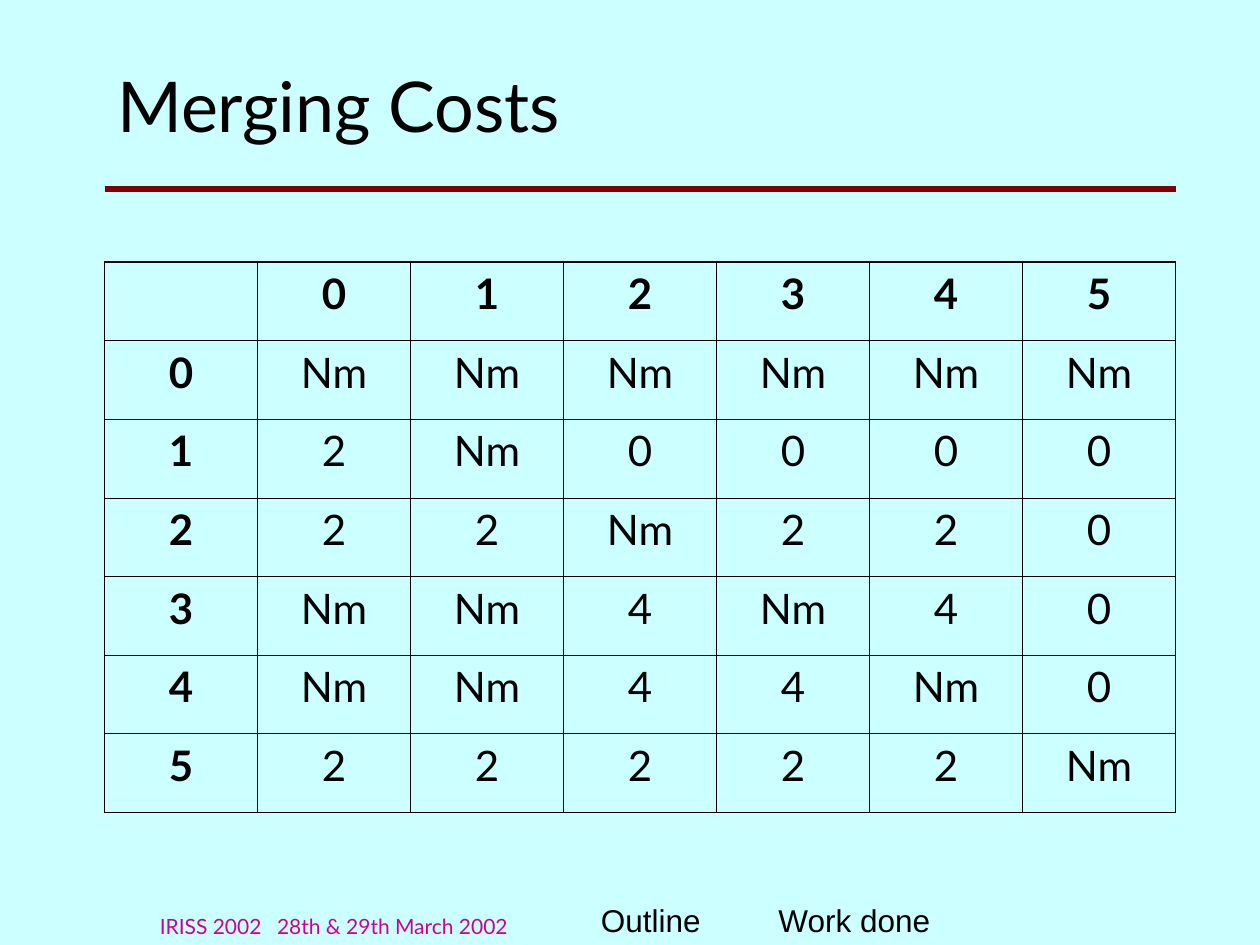
"""Build the Merging Costs slide: a title, a rule, a cost table and a footer."""
import pptx
import pptx.dml.color
import pptx.enum.text
import pptx.oxml
import pptx.oxml.ns
import pptx.util

TITLE = "Merging Costs"
COSTS = [
    ["", "0", "1", "2", "3", "4", "5"],
    ["0", "Nm", "Nm", "Nm", "Nm", "Nm", "Nm"],
    ["1", "2", "Nm", "0", "0", "0", "0"],
    ["2", "2", "2", "Nm", "2", "2", "0"],
    ["3", "Nm", "Nm", "4", "Nm", "4", "0"],
    ["4", "Nm", "Nm", "4", "4", "Nm", "0"],
    ["5", "2", "2", "2", "2", "2", "Nm"],
]
LABELS = [
    ("Outline", (4.67, 7.1, 1.08, 0.4), 18, "Arial", "000000"),
    ("Work done", (6.08, 7.1, 1.58, 0.4), 18, "Arial", "000000"),
    ("IRISS 2002\t28th & 29th March 2002", (1.17, 7.17, 3.75, 0.33), 12, "Lato", "CC0099"),
]
LEFT, WIDE = 0.83, 8.5
TOP, HIGH = 2.08, 4.37
THIN, THICK = 0.45, 1.08

Inches, Pt = pptx.util.Inches, pptx.util.Pt
ALIGN, ANCHOR = pptx.enum.text.PP_ALIGN, pptx.enum.text.MSO_ANCHOR
NS = pptx.oxml.ns.nsdecls("a")


def color(code):
    return pptx.dml.color.RGBColor.from_string(code)


def write(frame, text, size, face, code="000000", bold=False, align=ALIGN.LEFT):
    para = frame.paragraphs[0]
    para.alignment = align
    run = para.add_run()
    run.text = text
    font = run.font
    font.size, font.name, font.bold = Pt(size), face, bold
    font.color.rgb = color(code)
    return para


def add_title(slide):
    title = slide.shapes.title
    title.left, title.top = Inches(LEFT), Inches(0.33)
    title.width, title.height = Inches(7.75), Inches(1)
    frame = title.text_frame
    frame.auto_size = pptx.enum.text.MSO_AUTO_SIZE.NONE
    frame.vertical_anchor = ANCHOR.MIDDLE
    write(frame, TITLE, 40, "Lato")


def add_rule(slide):
    ends = [Inches(v) for v in (LEFT, 1.5, LEFT + WIDE, 1.5)]
    rule = slide.shapes.add_connector(pptx.enum.shapes.MSO_CONNECTOR.STRAIGHT, *ends)
    rule.line.color.rgb = color("800000")
    rule.line.width = Pt(3)
    rule._element.spPr.append(pptx.oxml.parse_xml(f"<a:effectLst {NS}/>"))


def add_edges(cell, row, col):
    last = len(COSTS) - 1
    outer = {"L": col == 0, "R": col == last, "T": row == 0, "B": row == last}
    for side, thick in outer.items():
        width = Pt(THICK if thick else THIN)
        cell._tc.get_or_add_tcPr().append(pptx.oxml.parse_xml(
            f'<a:ln{side} {NS} w="{width}"><a:solidFill>'
            f'<a:srgbClr val="000000"/></a:solidFill></a:ln{side}>'))


def add_costs(slide):
    count = len(COSTS)
    box = [Inches(v) for v in (LEFT, TOP, WIDE, HIGH)]
    table = slide.shapes.add_table(count, count, *box).table
    for line in table.columns:
        line.width = Inches(WIDE / count)
    for line in table.rows:
        line.height = Inches(HIGH / count)
    for row, texts in enumerate(COSTS):
        for col, text in enumerate(texts):
            cell = table.cell(row, col)
            add_edges(cell, row, col)
            cell.fill.background()
            if text:
                head = row == 0 or col == 0
                write(cell.text_frame, text, 24, "Lato", bold=head, align=ALIGN.CENTER)


def add_labels(slide):
    for text, box, size, face, code in LABELS:
        label = slide.shapes.add_textbox(*[Inches(v) for v in box])
        frame = label.text_frame
        frame.word_wrap = True
        frame.vertical_anchor = ANCHOR.BOTTOM
        para = write(frame, text, size, face, code)
        if "\t" in text:
            para._p.get_or_add_pPr().append(pptx.oxml.parse_xml(
                f'<a:tabLst {NS}><a:tab pos="{Inches(0.93)}" algn="l"/></a:tabLst>'))


def main():
    deck = pptx.Presentation()
    deck.slide_width, deck.slide_height = Inches(10), Inches(7.5)
    slide = deck.slides.add_slide(deck.slide_layouts[5])
    slide.background.fill.solid()
    slide.background.fill.fore_color.rgb = color("CCFFFF")
    add_rule(slide)
    add_title(slide)
    add_costs(slide)
    add_labels(slide)
    deck.save("out.pptx")


if __name__ == "__main__":
    main()
